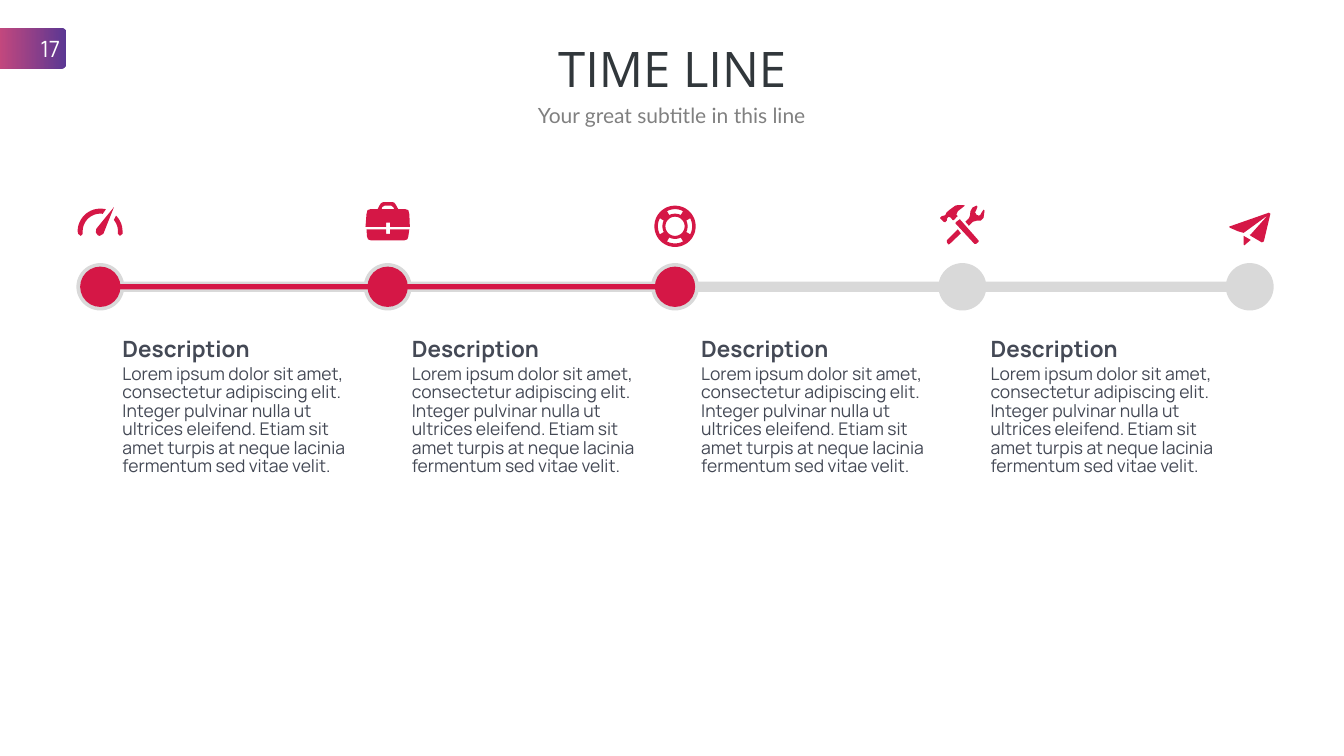
"""Build a five-step timeline slide with icons and four descriptions."""
from math import cos, radians, sin

from pptx import Presentation
from pptx.dml.color import RGBColor
from pptx.enum.shapes import MSO_SHAPE
from pptx.enum.text import MSO_ANCHOR, PP_ALIGN
from pptx.util import Inches, Pt

OVAL, BAR, BADGE = MSO_SHAPE.OVAL, MSO_SHAPE.RECTANGLE, MSO_SHAPE.ROUNDED_RECTANGLE
LEFT, CENTER, RIGHT = PP_ALIGN.LEFT, PP_ALIGN.CENTER, PP_ALIGN.RIGHT
MIDDLE = MSO_ANCHOR.MIDDLE

RED = RGBColor(0xD5, 0x17, 0x46)
TRACK = RGBColor(0xD9, 0xD9, 0xD9)
TITLE_INK = RGBColor(0x31, 0x37, 0x3B)
SUBTITLE_INK = RGBColor(0x80, 0x80, 0x80)
BODY_INK = RGBColor(0x44, 0x49, 0x55)
WHITE = RGBColor(0xFF, 0xFF, 0xFF)
PURPLE = RGBColor(0x5A, 0x37, 0x93)
PINK = RGBColor(0xEC, 0x4E, 0x75)

WIDTH, HEIGHT = 26.66, 15
FIRST_NODE, NODE_STEP, NODE_COUNT, DONE_COUNT = 1.99, 5.7, 5, 3
NODE_ROW, ICON_ROW = 5.69, 4.48
FIRST_TEXT, TEXT_STEP, TEXT_COUNT = 2.16, 5.74, 4
LOREM = (
    "Lorem ipsum dolor sit amet, consectetur adipiscing elit. Integer pulvinar nulla ut "
    "ultrices eleifend. Etiam sit amet turpis at neque lacinia fermentum sed vitae velit."
)


def arc(center_y, radius, start, end, steps=24):
    angles = [radians(start + (end - start) * step / steps) for step in range(steps + 1)]
    return [(radius * cos(angle), center_y + radius * sin(angle)) for angle in angles]


def add_text(box, inset, paragraphs):
    left, top, width, height = (Inches(length) for length in box)
    frame = slide.shapes.add_textbox(left, top, width, height).text_frame
    frame.margin_left = frame.margin_right = Inches(inset)
    frame.margin_top = frame.margin_bottom = Inches(inset / 2)
    for index, (text, size, font, color, bold, align, spacing) in enumerate(paragraphs):
        paragraph = frame.add_paragraph() if index else frame.paragraphs[0]
        paragraph.text = text
        paragraph.alignment = align
        paragraph.line_spacing = spacing
        if index:
            paragraph.space_before = Pt(size * 0.2)
        paragraph.font.size, paragraph.font.name = Pt(size), font
        paragraph.font.bold, paragraph.font.color.rgb = bold, color
    return frame


presentation = Presentation()
presentation.slide_width, presentation.slide_height = Inches(WIDTH), Inches(HEIGHT)
slide = presentation.slides.add_slide(presentation.slide_layouts[6])

nodes = [FIRST_NODE + column * NODE_STEP for column in range(NODE_COUNT)]
track_parts = [(OVAL, node, node, 0.95, 0.94, TRACK) for node in nodes]
track_parts.append((BAR, nodes[0], nodes[-1], 0, 0.2, TRACK))
track_parts.append((BAR, nodes[0], nodes[DONE_COUNT - 1], 0, 0.1, RED))
track_parts += [(OVAL, node, node, 0.8, 0.8, RED) for node in nodes[:DONE_COUNT]]
for kind, start, end, extra, height, color in track_parts:
    shape = slide.shapes.add_shape(
        kind, Inches(start - extra / 2), Inches(NODE_ROW - height / 2),
        Inches(end - start + extra), Inches(height),
    )
    shape.shadow.inherit = False
    shape.fill.solid()
    shape.fill.fore_color.rgb = color
    shape.line.fill.background()

add_text((WIDTH / 2 - 2.52, 0.71, 5.05, 1.28), 0.1,
         [("TIME LINE", 70, "Open Sans", TITLE_INK, False, CENTER, 1.0)]).word_wrap = False
add_text((WIDTH / 2 - 3.02, 1.81, 6.03, 0.81), 0.24,
         [("Your great subtitle in this line", 30, "Lato", SUBTITLE_INK, False, CENTER, 1.2)],
         ).word_wrap = False
for column in range(TEXT_COUNT):
    add_text((FIRST_TEXT + column * TEXT_STEP, 6.58, 5.04, 2.58), 0.27, [
        ("Description", 32, "Manrope", BODY_INK, True, LEFT, 0.88),
        (LOREM, 25, "Manrope", BODY_INK, False, LEFT, 0.88),
    ]).word_wrap = True

gauge = [
    arc(11, 45, 180, 284) + arc(11, 35, 278, 180) + [(-35, 16), (-39, 20), (-44, 16)],
    [(27, -37), (6, 16), (-1, 20), (-5, 19), (-9, 13), (-8, 6)],
    arc(11, 44, -45, 0) + [(44, 16), (39, 20), (35, 16)] + arc(11, 35, 0, -40),
]
briefcase = [
    [(-3, -6), (5, -6), (5, 2), (44, 2), (43, -23), (41, -31), (35, -33), (21, -33),
     (16, -42), (13, -46), (9, -47), (-9, -47), (-13, -45), (-17, -39), (-20, -33),
     (-34, -33), (-40, -31), (-42, -23), (-44, 2), (-3, 2)],
    [(-11, -37), (-6, -40), (7, -40), (11, -37), (13, -33), (-12, -33)],
    [(5, 16), (-3, 16), (-3, 7), (-42, 7), (-41, 21), (-39, 27), (-33, 29),
     (33, 29), (39, 27), (41, 21), (43, 7), (5, 7)],
]
lifebuoy = [arc(1, 41, 0, 360, 48), arc(1, 19, 0, 360, 48)] + [
    arc(1, 34, side - 28, side + 28) + arc(1, 25, side + 27, side - 27)
    for side in range(0, 360, 90)
]
tools = [
    [(-30, -15), (-27, -18), (-23, -16), (-19, -11), (-17, -11), (-11, -18), (-9, -19),
     (-12, -22), (-9, -29), (0, -36), (5, -40), (2, -41), (-9, -41), (-14, -40),
     (-25, -32), (-31, -27), (-34, -21), (-41, -19), (-44, -16), (-44, -15),
     (-37, -8), (-34, -7), (-31, -10)],
    [(-5, -13), (-12, -8), (-14, -5), (24, 36), (27, 36), (32, 32), (32, 29)],
    [(44, -30), (42, -32), (38, -26), (36, -22), (33, -20), (28, -22), (25, -27),
     (27, -30), (30, -38), (28, -40), (20, -36), (16, -29), (15, -20), (13, -15),
     (6, -8), (13, 0), (21, -8), (28, -10), (36, -10), (42, -16)],
    [(-31, 29), (-31, 32), (-28, 37), (-25, 36), (-3, 15), (-9, 7)],
]
paper_plane = [
    [(38, -26), (-39, 1), (-41, 2), (-39, 4), (-23, 11), (-12, 14), (36, -21), (2, 17),
     (0, 18), (2, 20), (24, 33), (28, 31), (41, -24)],
    [(-12, 37), (-11, 39), (2, 28), (-12, 20)],
]
for node, icon in zip(nodes, [gauge, briefcase, lifebuoy, tools, paper_plane]):
    outlines = [[(x * 10, y * 10) for x, y in outline] for outline in icon]
    builder = slide.shapes.build_freeform(*outlines[0][0], scale=Inches(1) / 1000)
    for index, outline in enumerate(outlines):
        if index:
            builder.move_to(*outline[0])
        builder.add_line_segments(outline[1:], close=True)
    shape = builder.convert_to_shape(Inches(node), Inches(ICON_ROW))
    shape.shadow.inherit = False
    shape.fill.solid()
    shape.fill.fore_color.rgb = RED
    shape.line.fill.background()

badge = slide.shapes.add_shape(BADGE, Inches(-0.51), Inches(0.56), Inches(1.83), Inches(0.8))
badge.adjustments[0] = 0.11
badge.shadow.inherit = False
badge.line.fill.background()
badge.fill.gradient()
badge.fill.gradient_angle = 180
for stop, position, color in zip(badge.fill.gradient_stops, (0, 1), (PURPLE, PINK)):
    stop.position, stop.color.rgb = position, color
badge.text_frame.vertical_anchor = MIDDLE
paragraph = badge.text_frame.paragraphs[0]
paragraph.text = "17"
paragraph.alignment = RIGHT
paragraph.font.size, paragraph.font.name = Pt(32), "Manrope"
paragraph.font.color.rgb = WHITE

presentation.save("out.pptx")
